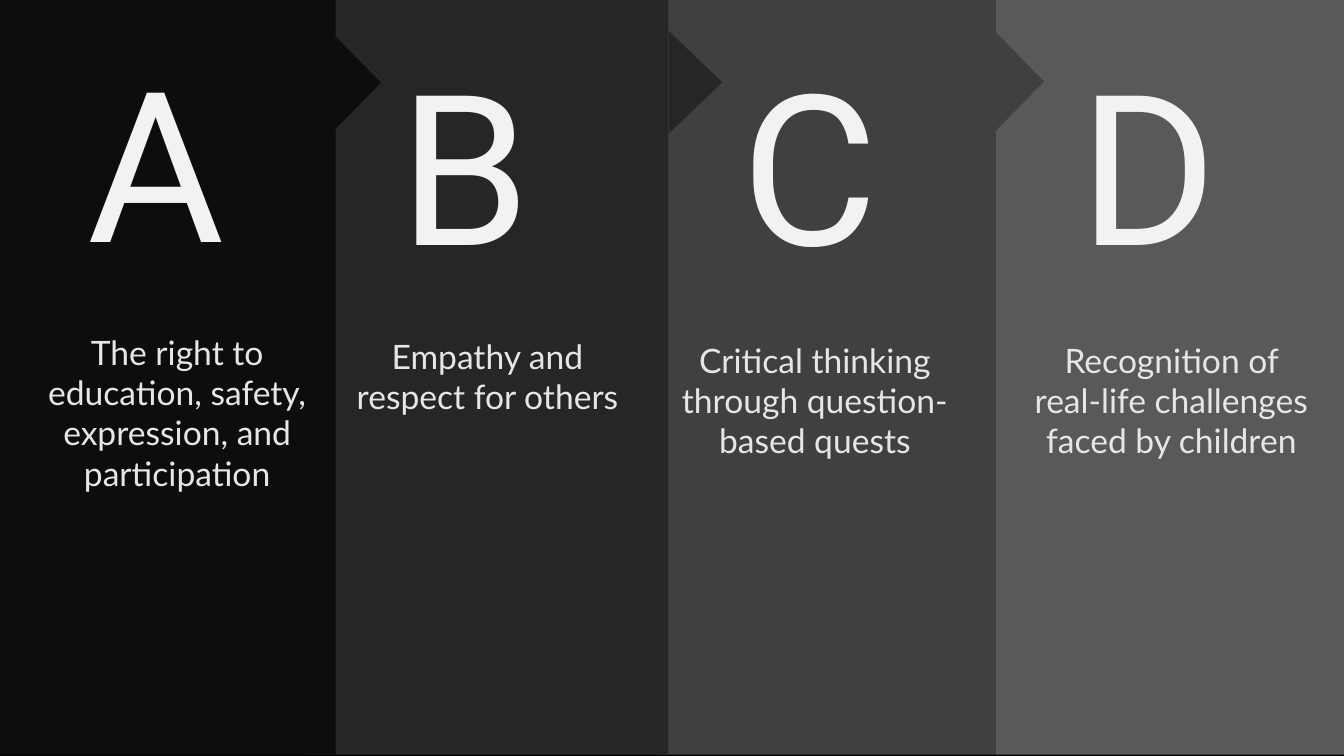
"""Build a slide of four dark panels, A to D, each pointing to the next."""
from pptx import Presentation
from pptx.dml.color import RGBColor
from pptx.enum.shapes import MSO_SHAPE as Shape
from pptx.enum.text import MSO_ANCHOR as Anchor, MSO_AUTO_SIZE as AutoSize, PP_ALIGN as Align
from pptx.util import Cm, Pt


def paint(color_format, hex_color):
    color_format.rgb = RGBColor.from_string(hex_color)


def add_block(group, kind, bounds, color, text="", font=None, align=Align.LEFT, wrap=True):
    block = group.shapes.add_shape(kind, *(Cm(length) for length in bounds))
    block.shadow.inherit = False
    block.fill.solid()
    paint(block.fill.fore_color, color)
    block.line.fill.background()
    if text:
        frame = block.text_frame
        frame.word_wrap = wrap
        frame.auto_size = AutoSize.SHAPE_TO_FIT_TEXT
        frame.vertical_anchor = Anchor.TOP
        para = frame.paragraphs[0]
        para.text = text
        para.alignment = align
        name, size, font_color = font
        para.font.name = name
        para.font.size = Pt(size)
        paint(para.font.color, font_color)
    return block


LETTER_FONT = ("Roboto", 150, "F2F2F2")
CAPTION_FONT = ("Lato", 24, "E6E6E6")
PANEL_TOP, PANEL_HEIGHT = -0.03, 19.05

# letter, colour, panel (left, width), letter box, caption box, arrow box, caption
panels = [
    ("D", "595959", (25.1, 8.81), (26.95, 0.76, 4.93, 7.54), (25.76, 8.43, 7.52, 3.78),
     None, "Recognition of real-life challenges faced by children"),
    ("C", "404040", (16.54, 8.56), (18.44, 0.76, 4.72, 7.54), (16.89, 8.43, 7.29, 3.78),
     (24.38, 1.42, 2.59, 1.27), "Critical thinking through question-based quests"),
    ("B", "262626", (7.75, 9.09), (9.83, 0.76, 4.5, 7.54), (8.41, 8.33, 7.75, 2.62),
     (16.23, 1.4, 2.59, 1.35), "Empathy and respect for others"),
    ("A", "0D0D0D", (0, 8.46), (1.96, 0.69, 3.91, 7.57), (0.86, 8.23, 7.21, 4.95),
     (7.67, 1.45, 2.59, 1.27), "The right to education, safety, expression, and participation"),
]

deck = Presentation()
deck.slide_width, deck.slide_height = Cm(33.87), Cm(19.05)
slide = deck.slides.add_slide(deck.slide_layouts[6])
slide.background.fill.solid()
paint(slide.background.fill.fore_color, "000000")

for letter, color, (left, width), letter_box, caption_box, arrow_box, caption in panels:
    group = slide.shapes.add_group_shape()
    add_block(group, Shape.RECTANGLE, (left, PANEL_TOP, width, PANEL_HEIGHT), color)
    add_block(group, Shape.RECTANGLE, letter_box, color, letter, LETTER_FONT, wrap=False)
    add_block(group, Shape.RECTANGLE, caption_box, color, caption, CAPTION_FONT, Align.CENTER)
    if arrow_box:
        arrow = add_block(group, Shape.ISOSCELES_TRIANGLE, arrow_box, color)
        arrow.rotation = 90

deck.save("out.pptx")
